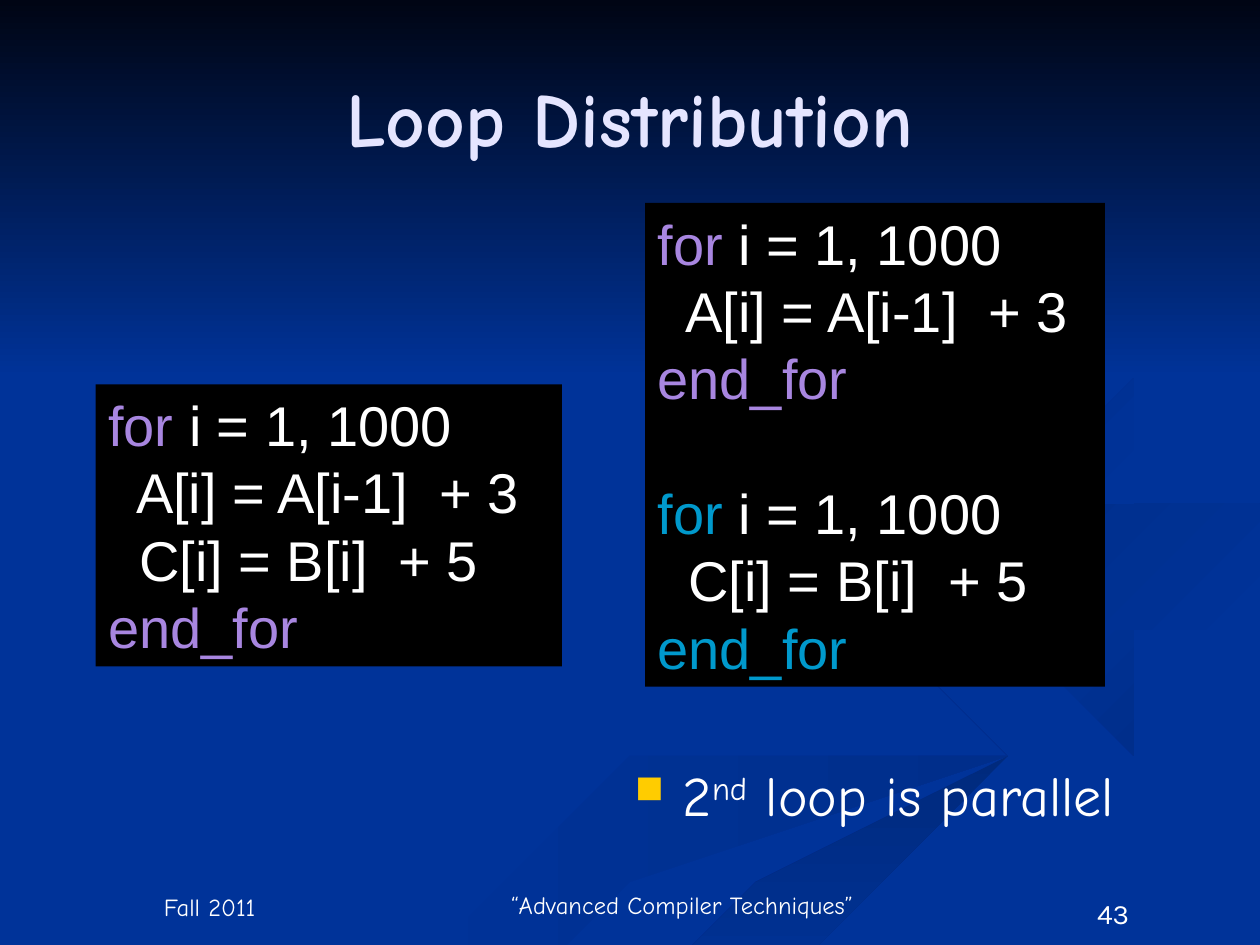
from lxml.etree import SubElement
from pptx import Presentation
from pptx.dml.color import RGBColor
from pptx.enum.shapes import MSO_SHAPE
from pptx.enum.text import MSO_ANCHOR, PP_ALIGN
from pptx.oxml.ns import qn
from pptx.util import Inches, Pt

COLORS = {
    "background": "003399", "night": "000514", "ribbon": "002E8B", "band": "002A7D",
    "title": "E5E5FF", "text": "FFFFFF", "code": "000000", "first_loop": "A886E0",
    "second_loop": "0099CC", "bullet": "FFCC00",
}


def color(name):
    return RGBColor.from_string(COLORS[name])


def add_span(para, text, size=32, font="Comic Neue", fill="text", bold=False, baseline=0):
    span = para.add_run()
    span.text = text
    span.font.size = Pt(size)
    span.font.name = font
    span.font.bold = bold
    span.font.color.rgb = color(fill)
    if baseline:
        span.font._element.set("baseline", str(baseline * 1000))


deck = Presentation()
deck.slide_width, deck.slide_height = Inches(10), Inches(7.5)
page = deck.slides.add_slide(deck.slide_layouts[5])
page.background.fill.solid()
page.background.fill.fore_color.rgb = color("background")

backdrop = [
    ("background", "ribbon", 0, [
        (7.3, 5.35), (7.8, 5.55), (7.8, 5.8), (7.3, 6), (5.4, 6.5), (3, 7.5), (3.6, 7.5),
        (5.3, 6.75), (7.6, 6.1), (8, 5.8), (7.8, 5.5)]),
    ("background", "ribbon", 45, [
        (8.4, 5.35), (9, 5.6), (9.2, 5.8), (8.95, 6.05), (9.3, 5.9), (9.4, 5.65), (9.1, 5.4)]),
    ("band", "background", 90, [
        (5, 7.5), (5.7, 7.5), (7, 6.9), (8.2, 6.5), (10, 6.1), (10, 5.8), (8, 6.4), (6.3, 6.9)]),
    ("ribbon", "background", 45, [
        (7.8, 4.6), (8.25, 4.95), (8.05, 4.75), (8.4, 4.5), (10, 4.2), (10, 4), (8.35, 4.3)]),
    ("ribbon", "background", 45, [
        (7.6, 2.35), (8.5, 2.8), (8.9, 3.35), (8.5, 3.75), (8.7, 3.8), (8.95, 3.4), (8.6, 2.9)]),
    ("night", "background", 90, [(0, 0), (0, 3.08), (10, 3.08), (10, 0)]),
]
for start, end, angle, points in backdrop:
    builder = page.shapes.build_freeform(*points[0], scale=Inches(1))
    builder.add_line_segments(points[1:], close=True)
    shape = builder.convert_to_shape()
    shape.shadow.inherit = False
    shape.line.fill.background()
    shape.fill.gradient()
    shape.fill.gradient_angle = -angle % 360
    for stop, name in zip(shape.fill.gradient_stops, (start, end)):
        stop.color.rgb = color(name)

title = page.shapes.title
page.shapes._spTree.append(title._element)
title.left, title.top, title.width, title.height = map(Inches, (0.5, 0.3, 9, 1.25))
title.text_frame.vertical_anchor = MSO_ANCHOR.MIDDLE
title.text_frame.paragraphs[0].alignment = PP_ALIGN.CENTER
add_span(title.text_frame.paragraphs[0], "Loop Distribution", size=44, fill="title", bold=True)

footers = [
    ("Fall 2011", 0.5, 7, 2.33, 0.36, 14, "Comic Neue", MSO_ANCHOR.BOTTOM),
    ("“Advanced Compiler Techniques”", 3.83, 7, 3.17, 0.35, 14, "Comic Neue", MSO_ANCHOR.BOTTOM),
    ("43", 8, 7.07, 1.67, 0.4, 16, "Karla", MSO_ANCHOR.TOP),
]
for text, left, top, width, height, size, font, anchor in footers:
    box = page.shapes.add_textbox(Inches(left), Inches(top), Inches(width), Inches(height))
    box.text_frame.word_wrap = True
    box.text_frame.vertical_anchor = anchor
    para = box.text_frame.paragraphs[0]
    para.alignment = PP_ALIGN.CENTER
    add_span(para, text, size=size, font=font)

recurrence, independent = "  A[i] = A[i-1]  + 3", "  C[i] = B[i]  + 5"
code_boxes = [
    (5.12, 1.61, 3.65, 3.84, [("first_loop", [recurrence]), ("second_loop", [independent])]),
    (0.76, 3.05, 3.7, 2.24, [("first_loop", [recurrence, independent])]),
]
LINE_HEIGHT = Pt(38.5)
for left, top, width, height, loops in code_boxes:
    box = page.shapes.add_shape(
        MSO_SHAPE.RECTANGLE, Inches(left), Inches(top), Inches(width), Inches(height))
    box.shadow.inherit = False
    box.line.fill.background()
    box.fill.solid()
    box.fill.fore_color.rgb = color("code")
    frame = box.text_frame
    frame.word_wrap = True
    frame.vertical_anchor = MSO_ANCHOR.TOP
    for number, (keyword, body) in enumerate(loops):
        lines = [[("for", keyword), (" i = 1, 1000", "text")]]
        lines += [[(statement, "text")] for statement in body]
        lines += [[("end_for", keyword)]]
        for row, line in enumerate(lines):
            para = frame.add_paragraph() if number or row else frame.paragraphs[0]
            para.alignment = PP_ALIGN.LEFT
            para.line_spacing = LINE_HEIGHT
            if number and row == 0:
                para.space_before = LINE_HEIGHT
            for text, fill in line:
                add_span(para, text, font="Arial", fill=fill)

box = page.shapes.add_textbox(Inches(4.94), Inches(5.99), Inches(4.55), Inches(0.63))
box.text_frame.word_wrap = True
para = box.text_frame.paragraphs[0]
properties = para._p.get_or_add_pPr()
properties.set("marL", str(Inches(0.38)))
properties.set("indent", str(-Inches(0.38)))
bullet_color = SubElement(properties, qn("a:buClr"))
SubElement(bullet_color, qn("a:srgbClr"), val=COLORS["bullet"])
SubElement(properties, qn("a:buSzPct"), val="70000")
SubElement(properties, qn("a:buChar"), char="■")
add_span(para, "2")
add_span(para, "nd", baseline=30)
add_span(para, " loop is parallel")

deck.save("out.pptx")
